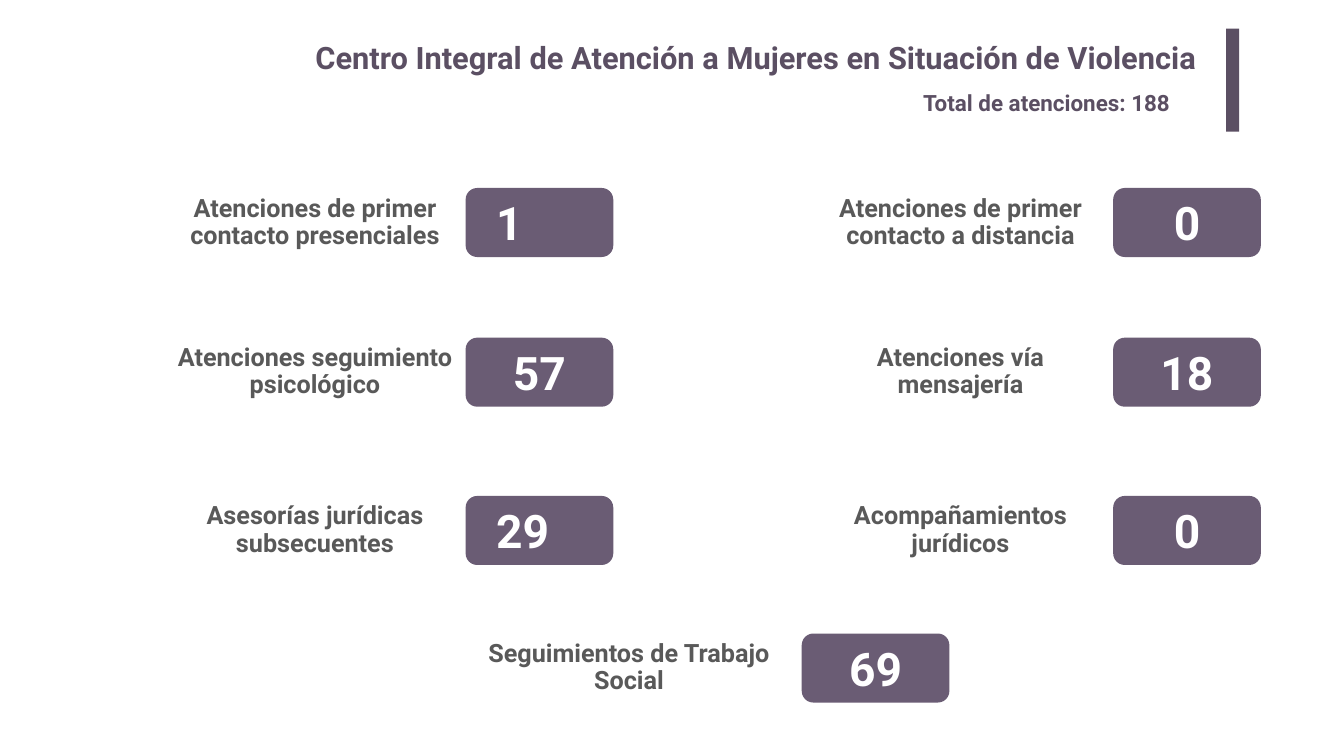
import pptx
from pptx.dml.color import RGBColor
from pptx.enum.shapes import MSO_SHAPE
from pptx.enum.text import MSO_ANCHOR, PP_ALIGN
from pptx.util import Inches, Pt

TITLE = "Centro Integral de Atención a Mujeres en Situación de Violencia"
TOTAL = "Total de atenciones: 188"

LEFT, RIGHT, MIDDLE = (3.29, 9.24), (16.1, 22.09), (9.52, 15.91)
ROWS = [3.73, 6.7, 9.84, 12.57]
SERVICES = [
    ("Atenciones de primer contacto presenciales", "1", LEFT, 0, PP_ALIGN.LEFT),
    ("Atenciones de primer contacto a distancia", "0", RIGHT, 0, PP_ALIGN.CENTER),
    ("Atenciones seguimiento psicológico", "57", LEFT, 1, PP_ALIGN.CENTER),
    ("Atenciones vía mensajería", "18", RIGHT, 1, PP_ALIGN.CENTER),
    ("Asesorías jurídicas subsecuentes", "29", LEFT, 2, PP_ALIGN.LEFT),
    ("Acompañamientos jurídicos", "0", RIGHT, 2, PP_ALIGN.CENTER),
    ("Seguimientos de Trabajo Social", "69", MIDDLE, 3, PP_ALIGN.CENTER),
]
LABEL_WIDTH, CARD_WIDTH, CARD_HEIGHT = 5.92, 2.93, 1.37

THEME = {
    "font": "Roboto",
    "heading": "5B4F63", "card": "6A5C74", "label": "595959", "count": "FFFFFF",
    "title_size": 44, "total_size": 32, "label_size": 36, "count_size": 66,
}


def write(holder, words, size, color, align, anchor=MSO_ANCHOR.TOP, inset=0.1):
    frame = holder.text_frame
    frame.word_wrap = True
    frame.vertical_anchor = anchor
    frame.margin_left = frame.margin_right = Inches(inset)
    paragraph = frame.paragraphs[0]
    paragraph.text = words
    paragraph.alignment = align
    paragraph.font.name = THEME["font"]
    paragraph.font.size = Pt(THEME[size])
    paragraph.font.bold = True
    paragraph.font.color.rgb = RGBColor.from_string(THEME[color])
    return paragraph


def add_text(slide, area, *style, **options):
    box = slide.shapes.add_textbox(*map(Inches, area))
    return write(box, *style, **options)


def add_block(slide, preset, area, color):
    block = slide.shapes.add_shape(preset, *map(Inches, area))
    block.shadow.inherit = False
    block.fill.solid()
    block.fill.fore_color.rgb = RGBColor.from_string(THEME[color])
    block.line.fill.background()
    return block


def main():
    deck = pptx.Presentation()
    deck.slide_width, deck.slide_height = Inches(26.67), Inches(15)
    slide = deck.slides.add_slide(deck.slide_layouts[6])

    add_text(slide, (3.66, 0.72, 20.3, 1.02), TITLE, "title_size", "heading",
             PP_ALIGN.RIGHT, inset=0.2)
    add_block(slide, MSO_SHAPE.RECTANGLE, (24.33, 0.57, 0.26, 2.04), "heading")
    add_text(slide, (18.22, 1.71, 5.92, 0.64), TOTAL, "total_size", "heading",
             PP_ALIGN.LEFT)

    for label, count, (label_left, card_left), row, align in SERVICES:
        top = ROWS[row]
        caption = add_text(slide, (label_left, top, LABEL_WIDTH, CARD_HEIGHT), label,
                           "label_size", "label", PP_ALIGN.CENTER, MSO_ANCHOR.MIDDLE)
        caption.line_spacing = 0.9
        card = add_block(slide, MSO_SHAPE.ROUNDED_RECTANGLE,
                         (card_left, top, CARD_WIDTH, CARD_HEIGHT), "card")
        card.adjustments[0] = 0.167
        write(card, count, "count_size", "count", align, MSO_ANCHOR.MIDDLE, inset=0.54)

    deck.save("out.pptx")


if __name__ == "__main__":
    main()
